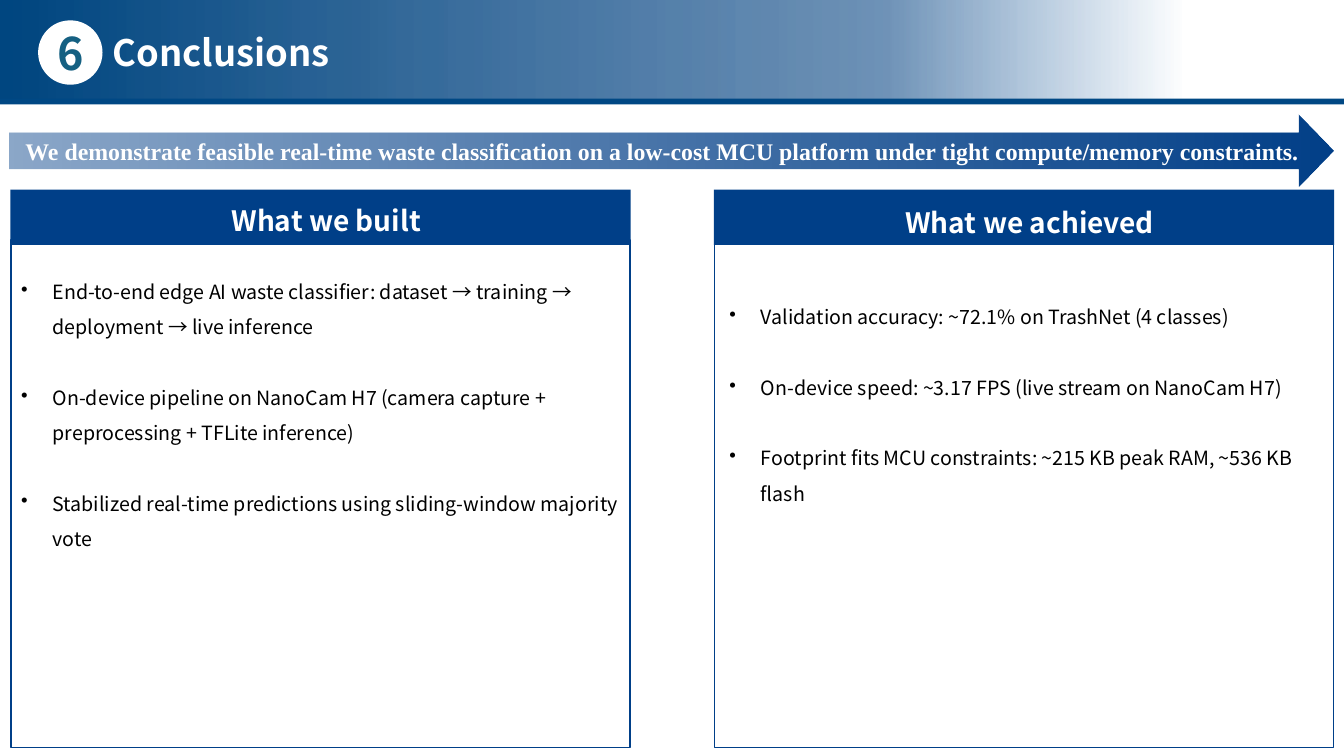
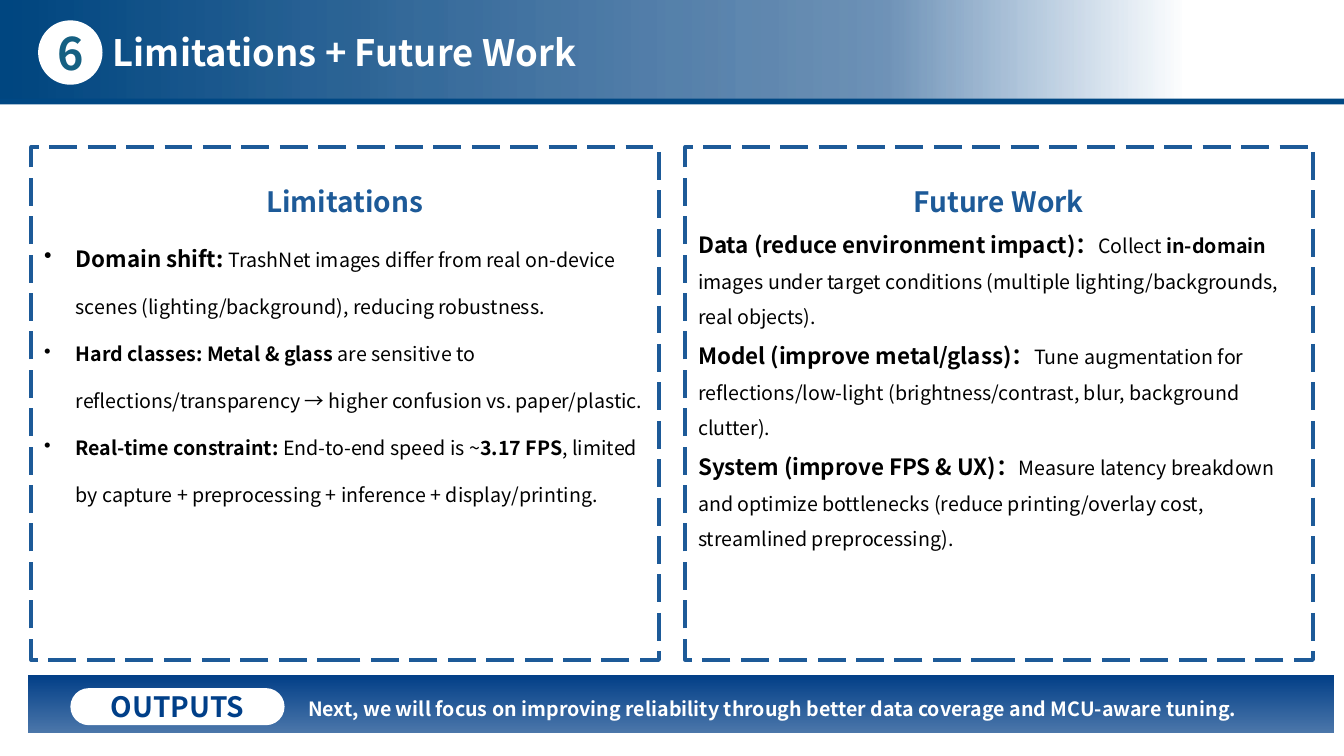
from pptx import Presentation, oxml
from pptx.dml.color import RGBColor
from pptx.enum import dml, shapes, text
from pptx.oxml import ns
from pptx.util import Pt

SANS, SERIF = "Noto Sans CJK SC", "Times New Roman"
WHITE = RGBColor(0xFF, 0xFF, 0xFF)
BLACK = RGBColor(0, 0, 0)
NAVY = RGBColor(0x00, 0x3F, 0x88)
RULE = RGBColor(0x00, 0x48, 0x84)
STEEL = RGBColor(0x1D, 0x5A, 0x98)
TEAL = RGBColor(0x15, 0x60, 0x82)
DEEP = RGBColor(0x00, 0x46, 0x80)
MID = RGBColor(0x11, 0x4C, 0x88)
PALE = RGBColor(0x14, 0x5A, 0xA1)
KIND = shapes.MSO_SHAPE
ALIGN = text.PP_ALIGN


def box(page, x, y, w, h, kind=KIND.RECTANGLE, fill=None, line=None,
        weight=1, dash=None, angle=0):
    """Add a shape; fill is a colour or a list of (percent, colour, opacity)."""
    item = page.shapes.add_shape(kind, Pt(x), Pt(y), Pt(w), Pt(h))
    item.shadow.inherit = False
    if isinstance(fill, RGBColor):
        item.fill.solid()
        item.fill.fore_color.rgb = fill
    else:
        item.fill.background()
    if isinstance(fill, list):
        stops = "".join(
            f'<a:gs pos="{at * 1000}"><a:srgbClr val="{tone}">'
            f'<a:alpha val="{solid * 1000}"/></a:srgbClr></a:gs>'
            for at, tone, solid in fill)
        grad = oxml.parse_xml(
            f'<a:gradFill {ns.nsdecls("a")} rotWithShape="1"><a:gsLst>{stops}'
            f'</a:gsLst><a:lin ang="{angle * 60000}" scaled="0"/></a:gradFill>')
        props = item.element.spPr
        props.replace(props.find(ns.qn("a:noFill")), grad)
    if line is None:
        item.line.fill.background()
    else:
        item.line.color.rgb = line
        item.line.width = Pt(weight)
        if dash:
            item.line.dash_style = dash
    return item


def write(item, lines, size=14, color=BLACK, bold=False, font=SANS, align=ALIGN.LEFT,
          space=None, gap=0, bullet=False, more=False, inset=None):
    """Fill a shape's text; a line is a string or a list of (text, size, bold)."""
    frame = item.text_frame
    frame.word_wrap = True
    if inset is not None:
        frame.margin_left = frame.margin_right = Pt(inset)
    for i, line in enumerate(lines):
        para = frame.add_paragraph() if i or more else frame.paragraphs[0]
        if bullet:
            props = para._p.get_or_add_pPr()
            props.set("marL", str(Pt(22.5)))
            props.set("indent", str(-Pt(22.5)))
            props.append(oxml.parse_xml(f'<a:buChar {ns.nsdecls("a")} char="•"/>'))
        para.alignment = align
        if space:
            para.line_spacing = space
        if gap and i:
            para.space_before = Pt(gap)
        for words, points, heavy in [(line, size, bold)] if isinstance(line, str) else line:
            run = para.add_run()
            run.text = words
            run.font.size = Pt(points)
            run.font.bold = heavy
            run.font.color.rgb = color
            run.font.name = font
            run.font._element.append(
                oxml.parse_xml(f'<a:ea {ns.nsdecls("a")} typeface="{font}"/>'))


deck = Presentation()
deck.slide_width, deck.slide_height = Pt(960), Pt(540)
blank = deck.slide_layouts[6]

# Both slides: number badge and title
pages = []
for title in ("Conclusions", "Limitations + Future Work"):
    page = deck.slides.add_slide(blank)
    pages.append(page)
    if len(pages) == 1:
        # Header band, moved to the shared layout
        fade = [(0, DEEP, 100), (66, MID, 60), (88, PALE, 0)]
        for band in (box(page, 0, 0, 960, 71, fill=fade),
                     box(page, 0, 70.5, 960, 4, fill=RULE)):
            blank.shapes.element.append(band.element)
    badge = box(page, 27.2, 14.5, 46, 46, KIND.OVAL, WHITE)
    write(badge, ["6"], size=32, color=TEAL, bold=True, align=ALIGN.CENTER, inset=0)
    write(page.shapes.add_textbox(Pt(73.5), Pt(18), Pt(600), Pt(39)), [title],
          size=26, color=WHITE, bold=True)
done, plan = pages

# Conclusions: two panels with headings
built = ["End-to-end edge AI waste classifier: dataset → training → deployment → live inference",
         "On-device pipeline on NanoCam H7 (camera capture + preprocessing + TFLite inference)",
         "Stabilized real-time predictions using sliding-window majority vote"]
won = ["Validation accuracy: ~72.1% on TrashNet (4 classes)",
       "On-device speed: ~3.17 FPS (live stream on NanoCam H7)",
       "Footprint fits MCU constraints: ~215 KB peak RAM, ~536 KB flash"]
for x, head, drop, left, top, points in (
        (7.5, "What we built", 137, 8, 188, built),
        (510, "What we achieved", 138.2, 514, 206, won)):
    box(done, x + 0.5, 171.5, 442, 362.5, fill=WHITE, line=NAVY)
    box(done, x, 135.5, 443, 39.5, fill=NAVY)
    write(done.shapes.add_textbox(Pt(x + 24), Pt(drop), Pt(403), Pt(34)), [head],
          size=20, color=WHITE, bold=True, align=ALIGN.CENTER, space=1.2)
    write(done.shapes.add_textbox(Pt(left), Pt(top), Pt(443.5), Pt(200)), points,
          bullet=True, space=1.5, gap=25.2)

# Conclusions: key message
arrow = box(done, 7, 82, 945.5, 51, KIND.RIGHT_ARROW, [(0, NAVY, 46), (100, NAVY, 100)])
write(arrow, ["We demonstrate feasible real-time waste classification on a low-cost MCU "
              "platform under tight compute/memory constraints."],
      size=17, color=WHITE, bold=True, font=SERIF, align=ALIGN.CENTER)

# Limitations and future work: dashed panels
limits = [
    [("Domain shift: ", 16, True),
     ("TrashNet images differ from real on-device scenes (lighting/background), "
      "reducing robustness.", 14, False)],
    [("Hard classes: Metal & glass", 14, True),
     (" are sensitive to reflections/transparency → higher confusion vs. "
      "paper/plastic.", 14, False)],
    [("Real-time constraint:", 14, True), (" End-to-end speed is ~", 14, False),
     ("3.17 FPS", 14, True),
     (", limited by capture + preprocessing + inference + display/printing.", 14, False)]]
future = [
    [("Data (reduce environment impact)：", 16, True), ("Collect ", 14, False),
     ("in-domain", 14, True),
     (" images under target conditions (multiple lighting/backgrounds, real objects).",
      14, False)],
    [("Model (improve metal/glass)：", 16, True),
     ("Tune augmentation for reflections/low-light (brightness/contrast, blur, "
      "background clutter).", 14, False)],
    [("System (improve FPS & UX)：", 16, True),
     ("Measure latency breakdown and optimize bottlenecks (reduce printing/overlay "
      "cost, streamlined preprocessing).", 14, False)]]
for x, head, points, space, bullet in ((22.3, "Limitations", limits, 2.0, True),
                                       (489.5, "Future Work", future, 1.5, False)):
    box(plan, x, 105, 448.5, 366.5, line=STEEL, weight=2.5, dash=dml.MSO_LINE.LONG_DASH)
    note = plan.shapes.add_textbox(Pt(x + 2.2), Pt(104), Pt(443.5), Pt(320))
    write(note, [head], size=20, color=STEEL, bold=True, align=ALIGN.CENTER, space=2.0)
    write(note, points, space=space, bullet=bullet, more=True)

# Limitations and future work: outputs bar
box(plan, 20, 482.3, 932.5, 41, fill=[(0, NAVY, 100), (100, NAVY, 70)], angle=90)
pill = box(plan, 50.3, 491.5, 153, 26.5, KIND.ROUNDED_RECTANGLE, WHITE)
pill.adjustments[0] = 0.5
write(pill, ["OUTPUTS"], size=20, color=NAVY, bold=True, align=ALIGN.CENTER)
write(plan.shapes.add_textbox(Pt(213), Pt(489.5), Pt(716.5), Pt(27.5)),
      ["Next, we will focus on improving reliability through better data coverage "
       "and MCU-aware tuning."],
      color=WHITE, bold=True, align=ALIGN.JUSTIFY, space=1.3)

deck.save("out.pptx")
